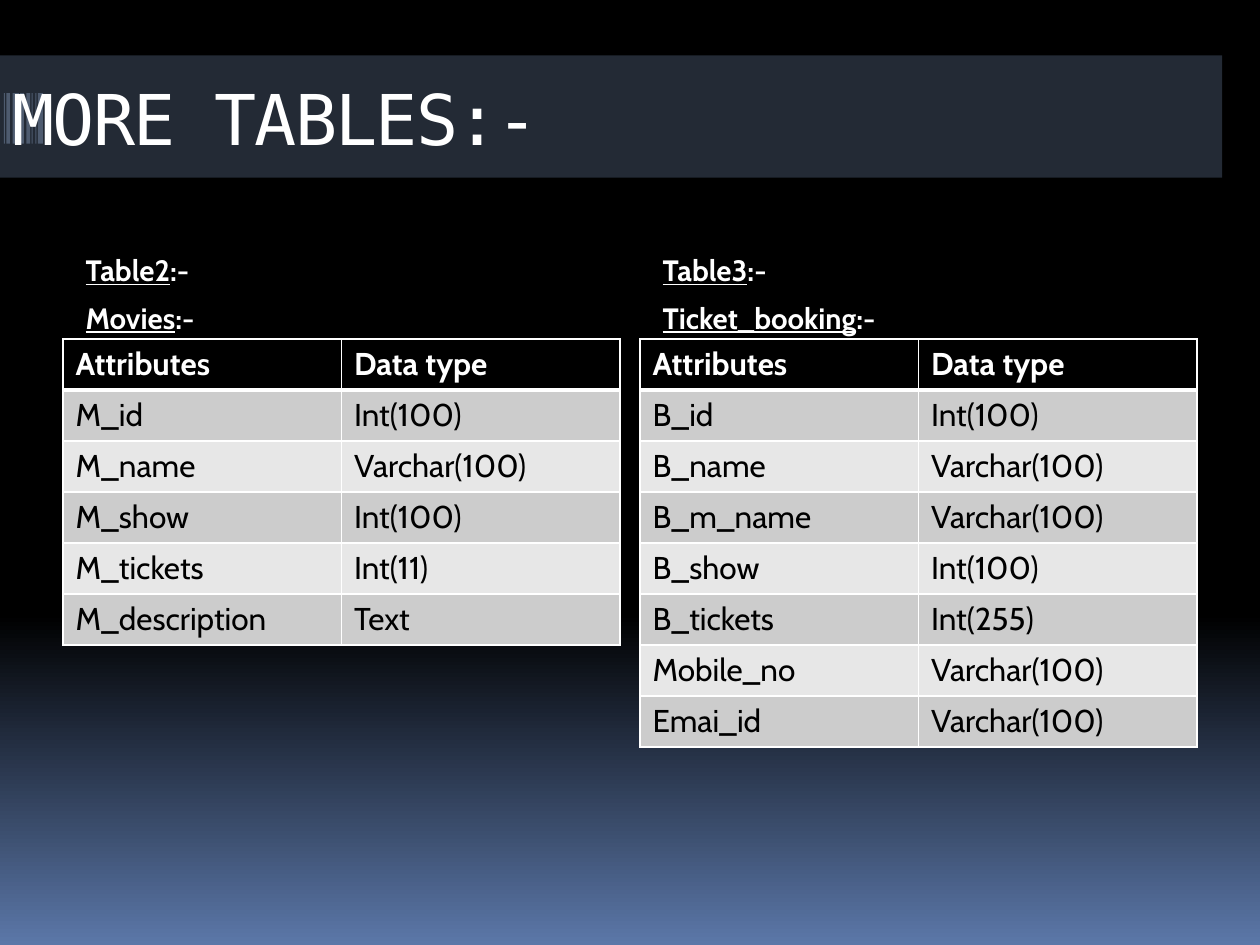
from lxml import etree
from pptx import Presentation, util as u
from pptx.dml.color import RGBColor
from pptx.enum import shapes, text
from pptx.oxml import parse_xml
from pptx.oxml.ns import qn

NS = 'xmlns:a="http://schemas.openxmlformats.org/drawingml/2006/main"'
BODY_FONT, TITLE_FONT = "Cabin", "DejaVu Sans Mono"
WHITE, BLACK, BAND, BAR = "FFFFFF", "000000", "586A86", "4E5B6F"
STRIPES = ("CCCCCC", "E7E7E7")
GRADIENT = [(0, BLACK), (65, BLACK), (100, "5B77A8")]

TITLE = "MORE TABLES:-"
HEADER = ("Attributes", "Data type")
TABLES = [
    (("Table2", "Movies"), [
        ("M_id", "Int(100)"), ("M_name", "Varchar(100)"), ("M_show", "Int(100)"),
        ("M_tickets", "Int(11)"), ("M_description", "Text")]),
    (("Table3", "Ticket_booking"), [
        ("B_id", "Int(100)"), ("B_name", "Varchar(100)"), ("B_m_name", "Varchar(100)"),
        ("B_show", "Int(100)"), ("B_tickets", "Int(255)"),
        ("Mobile_no", "Varchar(100)"), ("Emai_id", "Varchar(100)")]),
]
BARCODE = [(0.1, 0.05), (0.05, 0.03), (0.03, 0.01), (0.16, 0.03),
           (0.21, 0.03), (0.25, 0.01), (0.28, 0.01), (0.3, 0.04)]  # left, width

WIDTH, HEIGHT = 10, 7.5
MARGIN, GUTTER = 0.5, 0.16
COLUMN = (WIDTH - 2 * MARGIN - GUTTER) / 2
LABEL_TOP, LABEL_HEIGHT = 1.98, 0.7
TABLE_TOP, ROW = 2.69, 0.405


def color(hex_code):
    """Turn a hex string into a colour."""
    return RGBColor.from_string(hex_code)


def style(font, size, name, hex_code, bold=False):
    """Set size, face, colour and weight of a font."""
    font.size, font.name, font.bold = u.Pt(size), name, bold
    font.color.rgb = color(hex_code)


def paint_background(slide):
    """Fill the background with the vertical gradient."""
    fill = slide.background.fill
    fill.gradient()
    fill.gradient_angle = 270
    stops = fill._fill._gradFill.find(qn("a:gsLst"))
    for stop in list(stops):
        stops.remove(stop)
    for share, hex_code in GRADIENT:
        stops.append(parse_xml(f'<a:gs {NS} pos="{share * 1000}">'
                               f'<a:srgbClr val="{hex_code}"/></a:gs>'))


def add_block(slide, left, top, width, height, hex_code, opacity=100):
    """Add a plain rectangle without outline."""
    block = slide.shapes.add_shape(shapes.MSO_SHAPE.RECTANGLE,
                                   *map(u.Inches, (left, top, width, height)))
    block.shadow.inherit = False
    block.line.fill.background()
    block.fill.solid()
    block.fill.fore_color.rgb = color(hex_code)
    if opacity < 100:
        tint = block.fill._xPr.find(f".//{qn('a:srgbClr')}")
        etree.SubElement(tint, qn("a:alpha")).set("val", str(opacity * 1000))


def format_title(slide):
    """Place the title in front of the band."""
    title = slide.shapes.title
    title.left, title.top, title.width, title.height = map(u.Inches, (0, 0.5, 8.5, 1))
    frame = title.text_frame
    frame.text = TITLE
    frame.vertical_anchor = text.MSO_ANCHOR.TOP
    frame.margin_top = u.Inches(0.1)
    heading = frame.paragraphs[0]
    heading.alignment = text.PP_ALIGN.LEFT
    style(heading.font, 40, TITLE_FONT, WHITE)
    heading.runs[0].font._element.set("spc", "-100")
    slide.shapes._spTree.append(title._element)


def add_labels(slide, left, labels):
    """Write the underlined labels above a table."""
    box = slide.shapes.add_textbox(*map(u.Inches, (left, LABEL_TOP, COLUMN, LABEL_HEIGHT)))
    frame = box.text_frame
    frame.word_wrap = True
    frame.vertical_anchor = text.MSO_ANCHOR.MIDDLE
    frame.margin_left = u.Inches(0.18)
    frame.margin_top = frame.margin_bottom = 0
    for i, label in enumerate(labels):
        line = frame.add_paragraph() if i else frame.paragraphs[0]
        line.space_before = u.Pt(7)
        style(line.font, 16.8, BODY_FONT, WHITE, True)
        for words, underlined in ((label, True), (":-", False)):
            run = line.add_run()
            run.text, run.font.underline = words, underlined


def set_borders(cell, top=1, bottom=1):
    """Draw white lines round a cell, widths in points."""
    sides = {"L": 1, "R": 1, "T": top, "B": bottom}
    for i, (side, width) in enumerate(sides.items()):
        cell._tc.get_or_add_tcPr().insert(i, parse_xml(
            f'<a:ln{side} {NS} w="{u.Pt(width)}"><a:solidFill>'
            f'<a:srgbClr val="{WHITE}"/></a:solidFill></a:ln{side}>'))


def add_attributes(slide, left, attributes):
    """Add a table of attributes and data types."""
    rows = [HEADER, *attributes]
    table = slide.shapes.add_table(
        len(rows), len(HEADER),
        *map(u.Inches, (left, TABLE_TOP, COLUMN, ROW * len(rows)))).table
    for r, row in enumerate(rows):
        for c, words in enumerate(row):
            cell = table.cell(r, c)
            cell.text = words
            cell.fill.solid()
            cell.fill.fore_color.rgb = color(STRIPES[(r - 1) % 2] if r else BLACK)
            style(cell.text_frame.paragraphs[0].font, 18, BODY_FONT,
                  BLACK if r else WHITE, r == 0)
            set_borders(cell, top=3 if r == 1 else 1, bottom=1 if r else 3)


deck = Presentation()
deck.slide_width, deck.slide_height = u.Inches(WIDTH), u.Inches(HEIGHT)
slide = deck.slides.add_slide(deck.slide_layouts[5])
paint_background(slide)
add_block(slide, 0, 0.44, 9.7, 0.97, BAND, opacity=40)
for bar_left, bar_width in BARCODE:
    add_block(slide, bar_left, 0.74, bar_width, 0.4, BAR)
format_title(slide)
for i, (labels, attributes) in enumerate(TABLES):
    left = MARGIN + i * (COLUMN + GUTTER)
    add_labels(slide, left, labels)
    add_attributes(slide, left, attributes)
deck.save("out.pptx")
